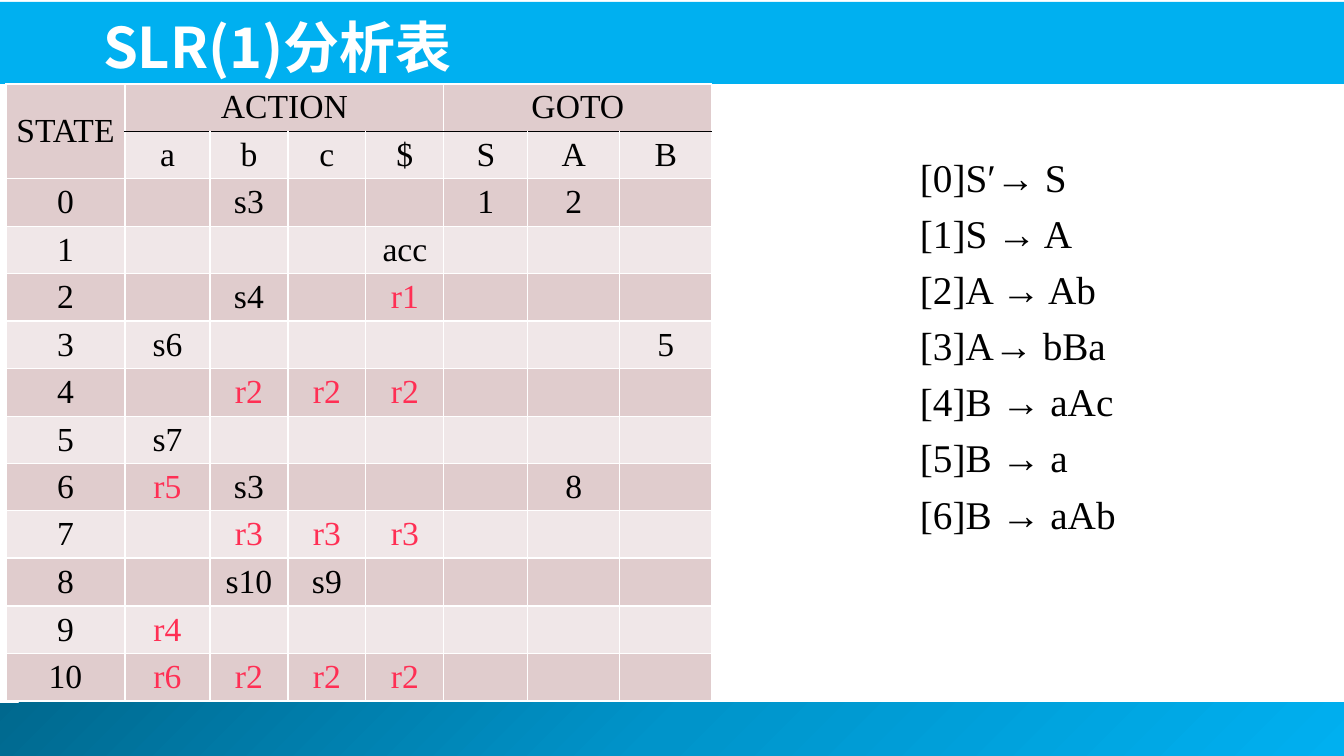
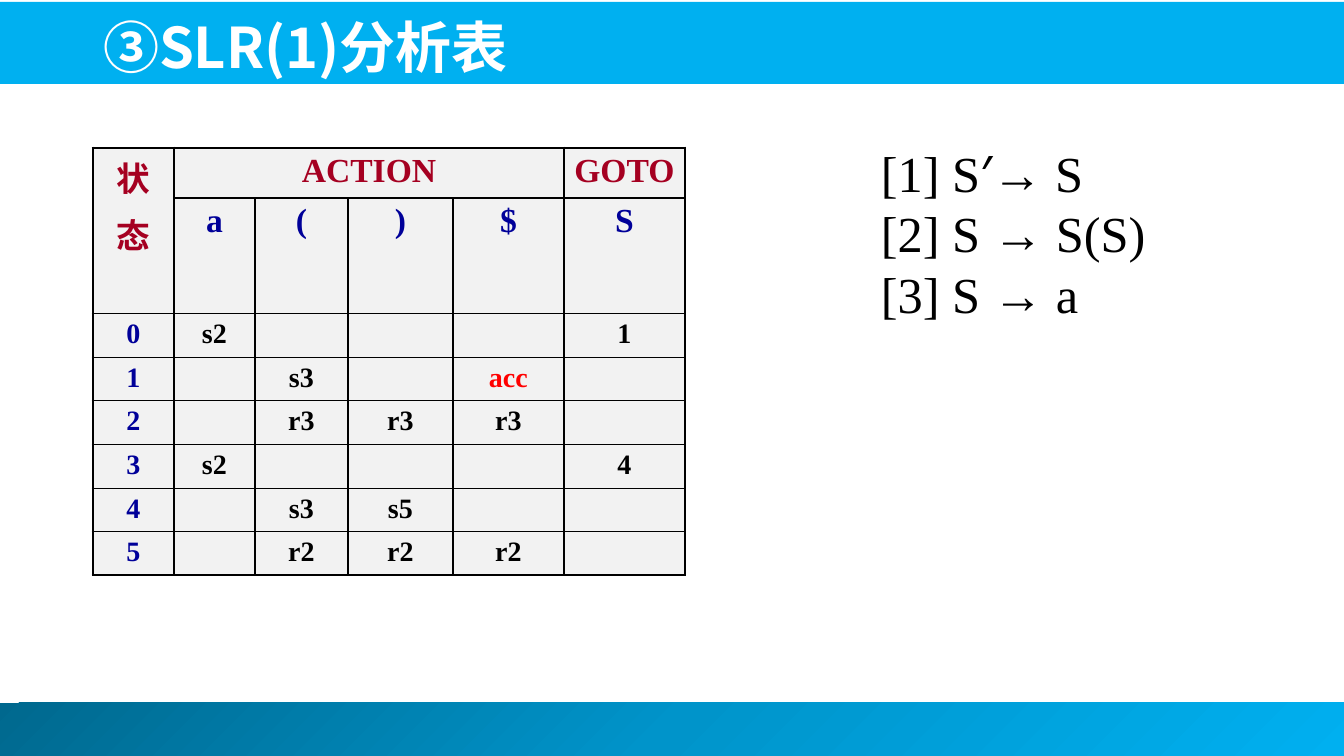
from collections.abc import Callable
from dataclasses import dataclass

from lxml import etree
from pptx import Presentation
from pptx.dml.color import RGBColor
from pptx.enum.shapes import MSO_SHAPE
from pptx.enum.text import MSO_ANCHOR, MSO_AUTO_SIZE, PP_ALIGN
from pptx.oxml.ns import qn
from pptx.util import Emu, Pt

RECTANGLE = MSO_SHAPE.RECTANGLE
TOP, MIDDLE, BOTTOM = MSO_ANCHOR.TOP, MSO_ANCHOR.MIDDLE, MSO_ANCHOR.BOTTOM
LEFT, CENTER, JUSTIFY = PP_ALIGN.LEFT, PP_ALIGN.CENTER, PP_ALIGN.JUSTIFY
NO_FIT, GROW = MSO_AUTO_SIZE.NONE, MSO_AUTO_SIZE.SHAPE_TO_FIT_TEXT

SLIDE_WIDTH, SLIDE_HEIGHT = 1344, 756
EMU_PER_PX = 12192000 / SLIDE_WIDTH
TITLE_ONLY = 5

SERIF, PRIME_SANS, TITLE_FONT = "Times New Roman", "Calibri", "Noto Sans CJK JP"
WHITE, BLACK, SKY = "FFFFFF", "000000", "00B0F0"
FOOTER_STOPS = ((0, "00688E"), (50, "0094CA"), (100, SKY))
ROSE, PALE_ROSE, REDUCE_PINK = "E0CCCD", "F0E7E8", "FF2F54"
GREY, CRIMSON, NAVY, ACCEPT_RED = "F2F2F2", "A50021", "000099", "FF0000"

Border = tuple[str, float]


@dataclass(frozen=True)
class Box:
    left: int
    top: int
    width: int
    height: int


@dataclass(frozen=True)
class ParseTable:
    column_edges: tuple[int, ...]
    row_edges: tuple[int, ...]
    rows: tuple[str, ...]
    merges: tuple[tuple[int, int, int, int], ...]
    bold: bool
    state_anchor: MSO_ANCHOR
    fill: Callable[[int, int], str]
    ink: Callable[[int, int, str], str]
    size: Callable[[int], int]
    border: Callable[[str, int, int], Border]


@dataclass(frozen=True)
class Grammar:
    box: Box
    rules: tuple[str, ...]
    size: int
    space_before: float
    prime_font: str
    fit: MSO_AUTO_SIZE


@dataclass(frozen=True)
class Page:
    title: str
    table: ParseTable
    grammar: Grammar


def px(length: int) -> Emu:
    return Emu(round(length * EMU_PER_PX))


def color(value: str) -> RGBColor:
    return RGBColor.from_string(value)


def place(box: Box) -> tuple[Emu, Emu, Emu, Emu]:
    return px(box.left), px(box.top), px(box.width), px(box.height)


def even_edges(start: int, end: int, count: int) -> tuple[int, ...]:
    """Edges of equal intervals, rounded without accumulating error."""
    return tuple(round(start + i * (end - start) / count) for i in range(count + 1))


def set_font(font, name: str, size: int, ink: str, bold: bool = False) -> None:
    font.name = name
    font.size = Pt(size)
    font.bold = bold
    font.color.rgb = color(ink)


def add_solid(parent, value: str) -> None:
    fill = etree.SubElement(parent, qn("a:solidFill"))
    etree.SubElement(fill, qn("a:srgbClr"), val=value)


def add_master_bands(deck, page) -> None:
    """Draw the header and footer bands, then move them to the slide master."""
    header = page.shapes.add_shape(RECTANGLE, *place(Box(-2, 2, 1347, 82)))
    header.fill.solid()
    header.fill.fore_color.rgb = color(SKY)

    footer = page.shapes.add_shape(RECTANGLE, *place(Box(-5, 703, 1350, 53)))
    footer.fill.gradient()
    footer.fill.gradient_angle = 315
    stops = next(footer._element.spPr.iter(qn("a:gsLst")))
    stops.clear()
    for position, value in FOOTER_STOPS:
        stop = etree.SubElement(stops, qn("a:gs"), pos=str(position * 1000))
        etree.SubElement(stop, qn("a:srgbClr"), val=value)

    for shape_id, band in enumerate((header, footer), start=101):
        band.line.fill.background()
        band.shadow.inherit = False
        band._element.nvSpPr.cNvPr.set("id", str(shape_id))
        deck.slide_master.shapes._spTree.insert(2, band._element)


def set_title(page, text: str) -> None:
    title = page.shapes.title
    title.left, title.top, title.width, title.height = place(Box(93, 5, 1207, 80))
    frame = title.text_frame
    frame.text = text
    frame.auto_size = NO_FIT
    frame.vertical_anchor = BOTTOM
    para = frame.paragraphs[0]
    para.alignment = LEFT
    set_font(para.font, TITLE_FONT, 40, WHITE, bold=True)
    properties = para.font._element
    etree.SubElement(properties, qn("a:ea"), typeface=TITLE_FONT)


def set_border(cell, side: str, border: Border) -> None:
    ink, width = border
    line = etree.SubElement(
        cell._tc.get_or_add_tcPr(), qn(f"a:ln{side}"), w=str(Pt(width))
    )
    add_solid(line, ink)


def add_parse_table(page, design: ParseTable) -> None:
    columns, rows = design.column_edges, design.row_edges
    box = Box(columns[0], rows[0], columns[-1] - columns[0], rows[-1] - rows[0])
    table = page.shapes.add_table(
        len(rows) - 1, len(columns) - 1, *place(box)
    ).table
    table.first_row = table.horz_banding = False
    for column, start, end in zip(table.columns, columns, columns[1:]):
        column.width = px(end - start)
    for row, start, end in zip(table.rows, rows, rows[1:]):
        row.height = px(end - start)
    for top, left, bottom, right in design.merges:
        table.cell(top, left).merge(table.cell(bottom, right))

    for r, line in enumerate(design.rows):
        for c, text in enumerate(line.split("|")):
            cell = table.cell(r, c)
            for side in "LRTB":
                set_border(cell, side, design.border(side, r, c))
            cell.fill.solid()
            cell.fill.fore_color.rgb = color(design.fill(r, c))
            cell.vertical_anchor = design.state_anchor if (r, c) == (0, 0) else TOP
            cell.text_frame.text = text
            for i, para in enumerate(cell.text_frame.paragraphs):
                para.alignment = CENTER
                para.space_before = Pt(5.5 if i else 0)
                set_font(para.font, SERIF, design.size(r),
                         design.ink(r, c, text), design.bold)


def add_grammar(page, grammar: Grammar) -> None:
    frame = page.shapes.add_textbox(*place(grammar.box)).text_frame
    frame.word_wrap = True
    frame.auto_size = grammar.fit
    for i, rule in enumerate(grammar.rules):
        para = frame.paragraphs[0] if i == 0 else frame.add_paragraph()
        para.alignment = JUSTIFY
        para.space_before = Pt(grammar.space_before)
        set_font(para.font, SERIF, grammar.size, BLACK)
        for text in filter(None, rule.partition("′")):
            span = para.add_run()
            span.text = text
            if text == "′" and grammar.prime_font != SERIF:
                span.font.name = grammar.prime_font


def rose_fill(row: int, column: int) -> str:
    return PALE_ROSE if row % 2 and column + row > 1 else ROSE


def rose_ink(row: int, column: int, text: str) -> str:
    return REDUCE_PINK if text.startswith("r") else BLACK


def rose_border(side: str, row: int, column: int) -> Border:
    under_header = (side, row) in (("B", 0), ("T", 1))
    return (BLACK if under_header and column else WHITE), 1


def grey_ink(row: int, column: int, text: str) -> str:
    if row == 0:
        return CRIMSON
    if row == 1 or column == 0:
        return NAVY
    return ACCEPT_RED if text == "acc" else BLACK


def grey_border(side: str, row: int, column: int) -> Border:
    thick = (
        (side == "L" and column in (0, 5))
        or (side == "R" and column == 4)
        or (side == "T" and row == 0)
        or (side, row, column) == ("R", 0, 5)
    )
    return BLACK, 2.25 if thick else 1


ROSE_TABLE = ParseTable(
    column_edges=(6, 125, 210, 288, 366, 444, 528, 620, 712),
    row_edges=even_edges(84, 698, 13),
    rows=(
        "STATE|ACTION||||GOTO||",
        "|a|b|c|$|S|A|B",
        "0||s3|||1|2|",
        "1||||acc|||",
        "2||s4||r1|||",
        "3|s6||||||5",
        "4||r2|r2|r2|||",
        "5|s7||||||",
        "6|r5|s3||||8|",
        "7||r3|r3|r3|||",
        "8||s10|s9||||",
        "9|r4||||||",
        "10|r6|r2|r2|r2|||",
    ),
    merges=((0, 0, 1, 0), (0, 1, 0, 4), (0, 5, 0, 7)),
    bold=False,
    state_anchor=MIDDLE,
    fill=rose_fill,
    ink=rose_ink,
    size=lambda row: 24,
    border=rose_border,
)

GREY_TABLE = ParseTable(
    column_edges=(93, 174, 255, 348, 453, 564, 685),
    row_edges=(148, 198) + even_edges(312, 574, 6),
    rows=(
        "状\n态|ACTION||||GOTO",
        "|a|(|)|$|S",
        "0|s2||||1",
        "1||s3||acc|",
        "2||r3|r3|r3|",
        "3|s2||||4",
        "4||s3|s5||",
        "5||r2|r2|r2|",
    ),
    merges=((0, 0, 1, 0), (0, 1, 0, 4)),
    bold=True,
    state_anchor=TOP,
    fill=lambda row, column: GREY,
    ink=grey_ink,
    size=lambda row: 24 if row < 2 else 20,
    border=grey_border,
)

PAGES = (
    Page("SLR(1)分析表", ROSE_TABLE, Grammar(
        Box(910, 148, 256, 436),
        ("[0]S′→ S", "[1]S → A", "[2]A → Ab", "[3]A→ bBa",
         "[4]B → aAc", "[5]B → a", "[6]B → aAb"),
        28, 6.5, SERIF, NO_FIT)),
    Page("③SLR(1)分析表", GREY_TABLE, Grammar(
        Box(871, 137, 461, 194),
        ("[1] S′→ S", "[2] S → S(S)", "[3] S → a"),
        36, 0, PRIME_SANS, GROW)),
)


def main() -> None:
    deck = Presentation()
    deck.slide_width, deck.slide_height = px(SLIDE_WIDTH), px(SLIDE_HEIGHT)
    for i, design in enumerate(PAGES):
        page = deck.slides.add_slide(deck.slide_layouts[TITLE_ONLY])
        if i == 0:
            add_master_bands(deck, page)
        set_title(page, design.title)
        add_parse_table(page, design.table)
        add_grammar(page, design.grammar)
    deck.save("out.pptx")


if __name__ == "__main__":
    main()
